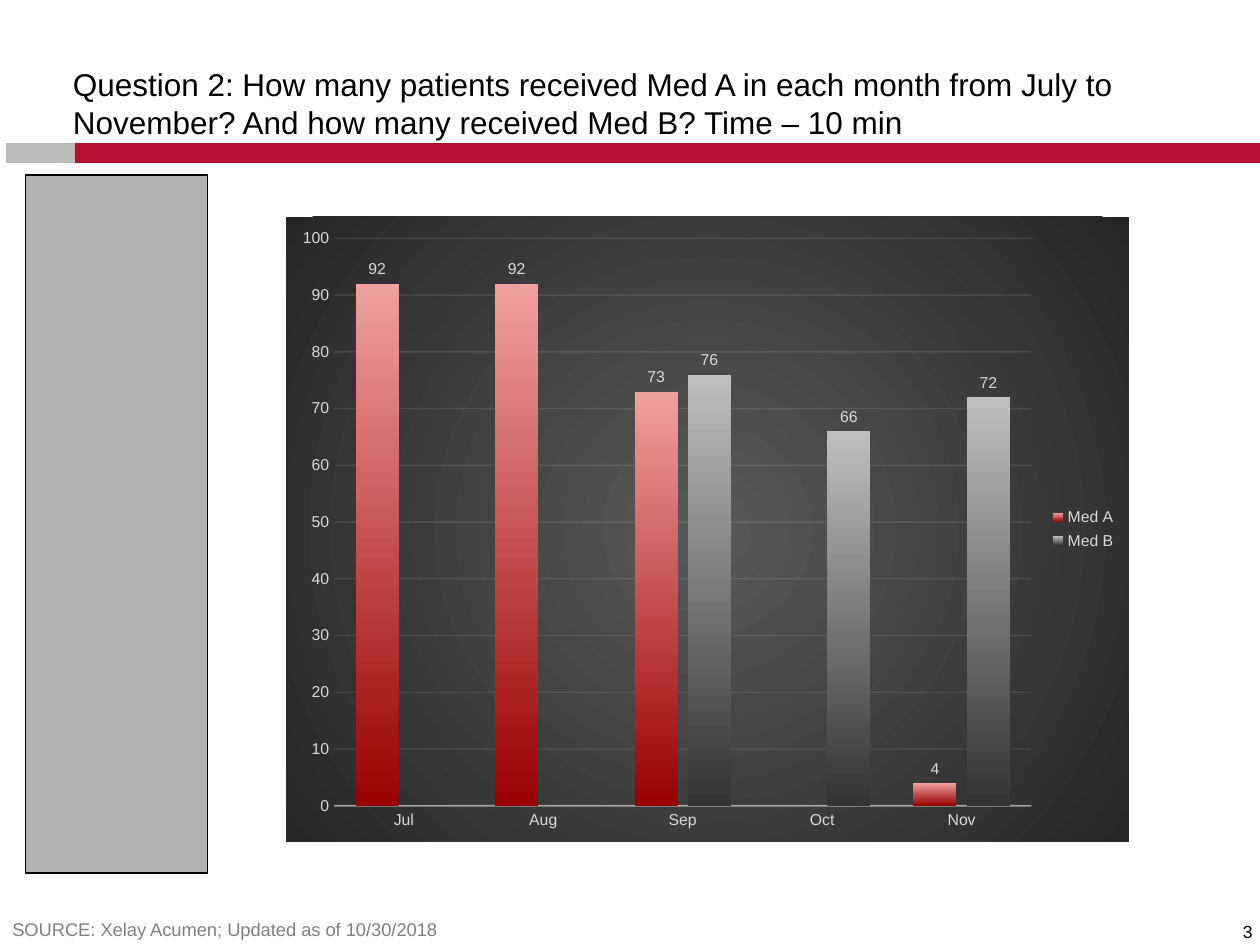
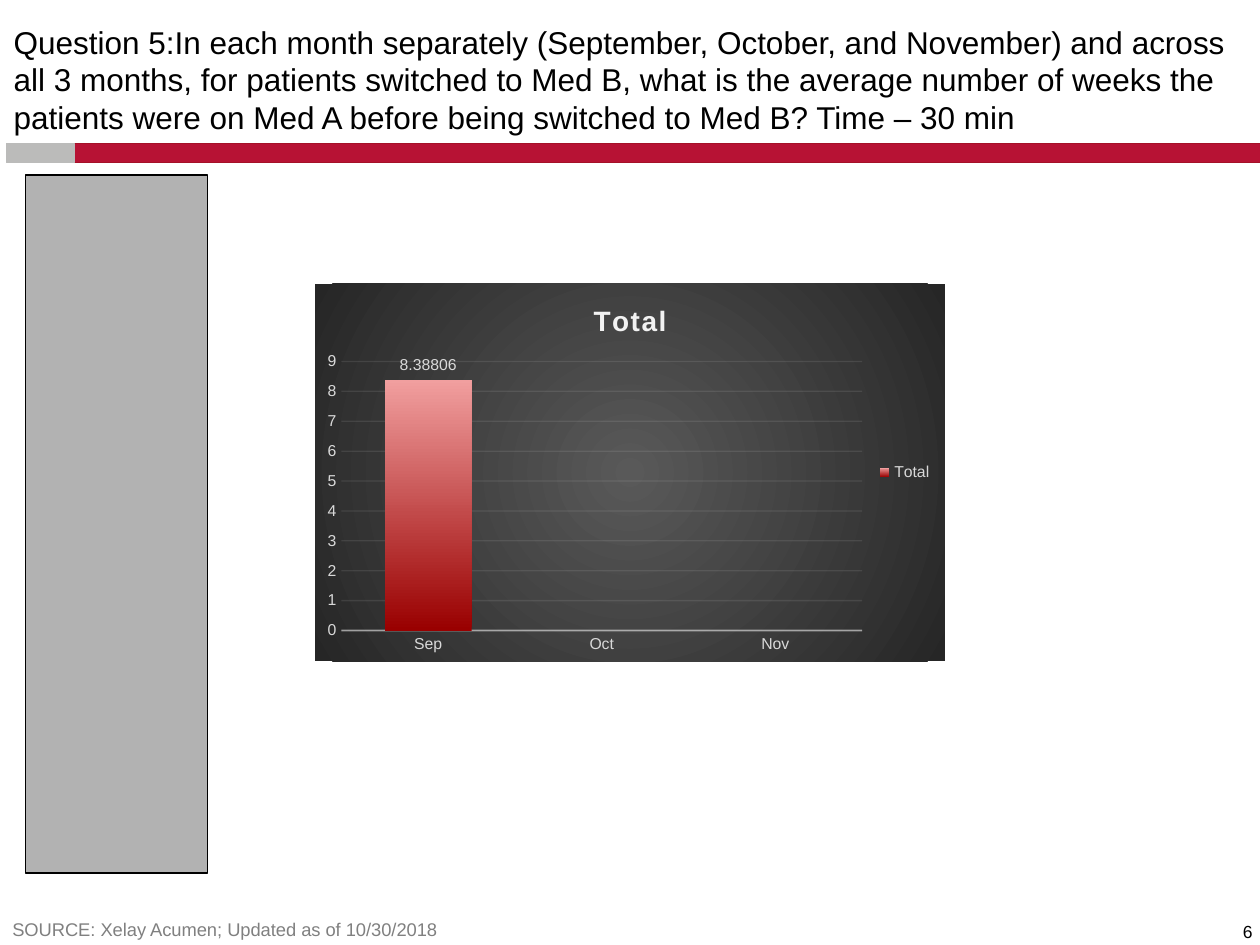
from lxml import etree
from pptx import Presentation
from pptx import util as u
from pptx.chart.data import CategoryChartData
from pptx.dml.color import RGBColor
from pptx.enum import chart as ch, shapes, text
from pptx.oxml import parse_xml
from pptx.oxml.ns import nsdecls, qn

COLORS = {
    "band": "B71234", "band_line": "A41128", "tab": "BBBBBA",
    "panel": "B2B2B2", "black": "000000", "source": "808080",
    "chart_text": "D9D9D9", "chart_line": "F2F2F2",
    "chart_center": "595959", "chart_edge": "262626",
}
BAR_GRADIENTS = [("990000", "F19F9F"), ("333333", "BFBFBF")]
FONT = "Arial"
SOURCE = "SOURCE: Xelay Acumen; Updated as of 10/30/2018"


def rgb(name):
    return RGBColor.from_string(COLORS[name])


def set_values(target, values):
    for name, value in values.items():
        setattr(target, name, value)


def style_font(font, size, color, bold=False):
    set_values(font, {"name": FONT, "size": u.Pt(size), "bold": bold})
    font.color.rgb = rgb(color)


def add_rectangle(slide, box, fill, line, width):
    shape = slide.shapes.add_shape(
        shapes.MSO_SHAPE.RECTANGLE, *map(u.Inches, box))
    shape.shadow.inherit = False
    shape.fill.solid()
    shape.fill.fore_color.rgb = rgb(fill)
    shape.line.color.rgb = rgb(line)
    shape.line.width = u.Pt(width)


def add_text(slide, box, content, size, color, frame_format,
             paragraph_format=None):
    frame = slide.shapes.add_textbox(*map(u.Inches, box)).text_frame
    set_values(frame, {"word_wrap": True, **frame_format})
    paragraph = frame.paragraphs[0]
    paragraph.text = content
    set_values(paragraph, paragraph_format or {})
    style_font(paragraph.runs[0].font, size, color)


def add_frame(slide, title, title_box, number):
    """Add the bands, side panel, title, source and slide number."""
    add_rectangle(slide, (0.58, 1.14, 9.42, 0.15), "band", "band_line", 0.25)
    add_rectangle(slide, (0.05, 1.14, 0.54, 0.15), "tab", "tab", 0.25)
    add_rectangle(slide, (0.2, 1.39, 1.45, 5.54), "panel", "black", 0.75)
    bottom = {"vertical_anchor": text.MSO_ANCHOR.BOTTOM}
    no_margins = dict.fromkeys(
        ("margin_left", "margin_top", "margin_right", "margin_bottom"), 0)
    add_text(slide, (9.77, 7.31, 0.21, 0.17), f"{number} ", 10, "black",
             {**no_margins, "word_wrap": False},
             {"alignment": text.PP_ALIGN.RIGHT})
    add_text(slide, title_box, title, 18, "black",
             {**bottom, "margin_top": 0, "margin_bottom": 0})
    add_text(slide, (0, 7.23, 9.74, 0.28), SOURCE, 10.5, "source", bottom)


def style_line(line, width, opacity):
    line.color.rgb = rgb("chart_line")
    line.width = u.Pt(width)
    color = line.fill._xPr.find(".//" + qn("a:srgbClr"))
    etree.SubElement(color, qn("a:alpha"), val=str(opacity * 1000))


def fill_chart_background(chart):
    """Fill the chart area with a circular gradient, light in the centre."""
    stops = "".join(
        f'<a:gs pos="{position}"><a:srgbClr val="{COLORS[name]}"/></a:gs>'
        for position, name in ((0, "chart_center"), (100000, "chart_edge")))
    properties = parse_xml(
        f'<c:spPr {nsdecls("c", "a")}><a:gradFill><a:gsLst>{stops}</a:gsLst>'
        '<a:path path="circle"><a:fillToRect l="50000" t="50000" r="50000" '
        'b="50000"/></a:path></a:gradFill><a:ln><a:noFill/></a:ln></c:spPr>')
    chart._chartSpace.find(qn("c:chart")).addnext(properties)


def style_axes(chart):
    for axis in (chart.category_axis, chart.value_axis):
        set_values(axis, {"major_tick_mark": ch.XL_TICK_MARK.NONE,
                          "minor_tick_mark": ch.XL_TICK_MARK.NONE})
        style_font(axis.tick_labels.font, 9, "chart_text")
    style_line(chart.category_axis.format.line, 1, 54)
    chart.value_axis.format.line.fill.background()
    style_line(chart.value_axis.major_gridlines.format.line, 0.75, 10)


def style_series(series, gradient):
    fill = series.format.fill
    fill.gradient()
    fill.gradient_angle = 90
    for stop, color in zip(fill.gradient_stops, gradient):
        stop.color.rgb = RGBColor.from_string(color)
    labels = series.data_labels
    set_values(labels, {"show_value": True,
                        "position": ch.XL_LABEL_POSITION.OUTSIDE_END})
    style_font(labels.font, 9, "chart_text")


def add_column_chart(slide, box, categories, values_by_name, title=None):
    data = CategoryChartData()
    data.categories = categories
    for name, values in values_by_name.items():
        data.add_series(name, values)
    chart = slide.shapes.add_chart(
        ch.XL_CHART_TYPE.COLUMN_CLUSTERED, *map(u.Inches, box), data).chart
    style_font(chart.font, 10, "black")
    fill_chart_background(chart)
    style_axes(chart)
    set_values(chart.plots[0], {"gap_width": 100, "overlap": -24,
                                "vary_by_categories": False})
    for series, gradient in zip(chart.plots[0].series, BAR_GRADIENTS):
        style_series(series, gradient)
    chart.has_legend = True
    set_values(chart.legend, {"position": ch.XL_LEGEND_POSITION.RIGHT,
                              "include_in_layout": False})
    style_font(chart.legend.font, 9, "chart_text")
    chart.has_title = title is not None
    if title:
        frame = chart.chart_title.text_frame
        frame.text = title
        font = frame.paragraphs[0].runs[0].font
        style_font(font, 16, "chart_line", bold=True)
        font._rPr.set("spc", "100")


def main():
    presentation = Presentation()
    set_values(presentation, {"slide_width": u.Inches(10),
                              "slide_height": u.Inches(7.5)})
    blank = presentation.slide_layouts[6]

    patients = presentation.slides.add_slide(blank)
    add_frame(patients,
              "Question 2: How many patients received Med A in each month "
              "from July to November? And how many received Med B? "
              "Time – 10 min", (0.48, 0.51, 9, 0.61), 3)
    add_column_chart(patients, (2.27, 1.72, 6.69, 4.96),
                     ["Jul", "Aug", "Sep", "Oct", "Nov"],
                     {"Med A": [92, 92, 73, None, 4],
                      "Med B": [None, None, 76, 66, 72]})

    weeks = presentation.slides.add_slide(blank)
    add_frame(weeks,
              "Question 5:In each month separately (September, October, and "
              "November) and across all 3 months, for patients switched to "
              "Med B, what is the average number of weeks the patients were "
              "on Med A before being switched to Med B? Time – 30 min",
              (0.01, 0.17, 9.99, 0.91), 6)
    add_column_chart(weeks, (2.5, 2.25, 5, 3), ["Sep", "Oct", "Nov"],
                     {"Total": [8.38806, None, None]}, title="Total")

    presentation.save("out.pptx")


if __name__ == "__main__":
    main()
